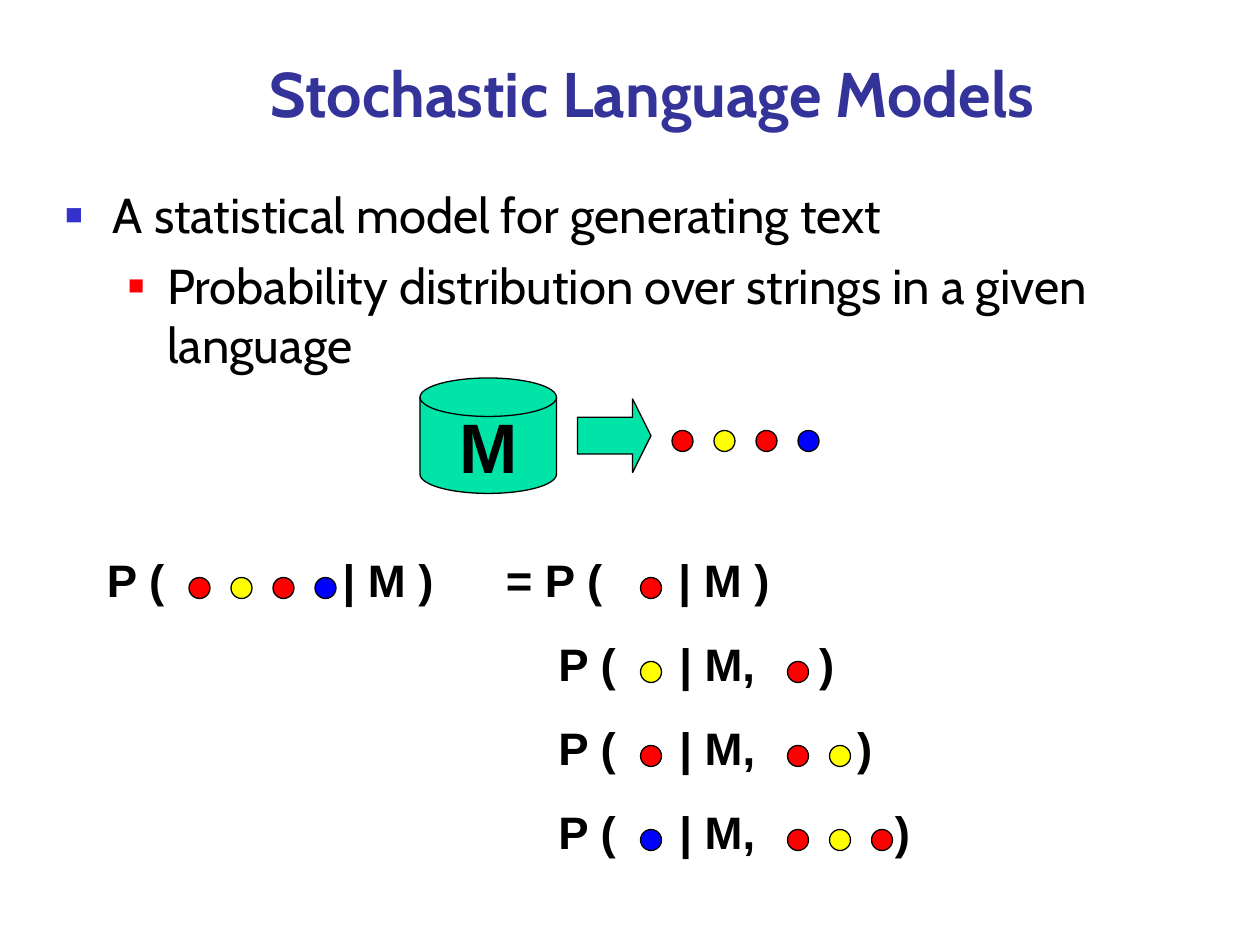
from dataclasses import dataclass

import lxml.etree
import pptx
import pptx.dml.color
import pptx.enum.shapes
import pptx.enum.text
import pptx.oxml.ns
import pptx.util

# Grid: 120 columns by 90 rows on a slide of 10 by 7.5 inches
COLUMNS = 120
CELL = pptx.util.Inches(10) / COLUMNS
DOT_SIZE, DOT_PITCH = 2, 4

RED, YELLOW, BLUE = "FF0000", "FFFF00", "0000FF"
GREEN, BLACK = "00E4A8", "000000"
SEQUENCE = (RED, YELLOW, RED, BLUE)

SHAPES = pptx.enum.shapes.MSO_SHAPE
ANCHOR = pptx.enum.text.MSO_ANCHOR
ALIGN = pptx.enum.text.PP_ALIGN
FORMULA_FONT = {"name": "Arial", "size": pptx.util.Pt(26), "bold": True}
MODEL_FONT = {"name": "Arial", "size": pptx.util.Pt(40), "bold": True}
TITLE_FONT = {"name": "Cabin", "size": pptx.util.Pt(36), "bold": True}
BODY_FONT = {"name": "Cabin", "size": pptx.util.Pt(28), "bold": False}


@dataclass(frozen=True)
class Box:
    column: float
    row: float
    width: float
    height: float

    def lengths(self) -> list[int]:
        return [round(value * CELL)
                for value in (self.column, self.row, self.width, self.height)]


@dataclass(frozen=True)
class Term:
    """One probability: its text, tab stops in inches, and rows of dots."""
    text: str
    box: Box
    tabs: tuple[float, ...]
    dots: tuple[tuple[float, tuple[str, ...]], ...]


@dataclass(frozen=True)
class Bullet:
    text: str
    level: int
    margin: float
    hanging: float
    color: str
    percent: int


def rgb(value: str):
    return pptx.dml.color.RGBColor.from_string(value)


def set_attributes(target, values: dict) -> None:
    for name, value in values.items():
        setattr(target, name, value)


def add_property(paragraph, tag: str, **attributes: str):
    properties = paragraph._p.get_or_add_pPr()
    return lxml.etree.SubElement(properties, pptx.oxml.ns.qn(tag), attributes)


def write(paragraph, text: str, font: dict, color: str, before: float) -> None:
    paragraph.text = text
    paragraph.space_before = pptx.util.Pt(before)
    set_attributes(paragraph.runs[0].font, font)
    paragraph.runs[0].font.color.rgb = rgb(color)


def move(shape, box: Box) -> None:
    set_attributes(shape, dict(zip(("left", "top", "width", "height"), box.lengths())))


def add_figure(shapes, kind, box: Box, color: str):
    shape = shapes.add_shape(kind, *box.lengths())
    shape.shadow.inherit = False
    shape.fill.solid()
    shape.fill.fore_color.rgb = rgb(color)
    shape.line.color.rgb = rgb(BLACK)
    shape.line.width = pptx.util.Pt(0.75)
    return shape


def add_dots(shapes, column: float, row: float, colors: tuple[str, ...]) -> None:
    for index, color in enumerate(colors):
        box = Box(column + index * DOT_PITCH, row, DOT_SIZE, DOT_SIZE)
        add_figure(shapes, SHAPES.OVAL, box, color)


def add_term(slide, term: Term) -> None:
    shapes = slide.shapes.add_group_shape().shapes
    text_box = shapes.add_textbox(*term.box.lengths())
    text_box.text_frame.word_wrap = True
    paragraph = text_box.text_frame.paragraphs[0]
    write(paragraph, term.text, FORMULA_FONT, BLACK, 6.5)
    tab_list = add_property(paragraph, "a:tabLst")
    for position in term.tabs:
        lxml.etree.SubElement(tab_list, pptx.oxml.ns.qn("a:tab"),
                              pos=str(pptx.util.Inches(position)), algn="l")
    for column, colors in term.dots:
        add_dots(shapes, column, term.box.row + 3, colors)


def add_title(slide, text: str) -> None:
    title = slide.shapes.title
    move(title, Box(11, 5, 102.2, 8))
    set_attributes(title.text_frame, {
        "vertical_anchor": ANCHOR.BOTTOM, "word_wrap": True,
        "auto_size": pptx.enum.text.MSO_AUTO_SIZE.NONE})
    paragraph = title.text_frame.paragraphs[0]
    write(paragraph, text, TITLE_FONT, "333399", 0)
    paragraph.alignment = ALIGN.CENTER


def add_bullets(slide, bullets: list[Bullet]) -> None:
    body = slide.placeholders[1]
    move(body, Box(5, 17, 102, 21.6))
    frame = body.text_frame
    frame.auto_size = pptx.enum.text.MSO_AUTO_SIZE.NONE
    for index, bullet in enumerate(bullets):
        paragraph = frame.add_paragraph() if index else frame.paragraphs[0]
        write(paragraph, bullet.text, BODY_FONT, BLACK, 7)
        paragraph.level = bullet.level
        properties = paragraph._p.get_or_add_pPr()
        properties.set("marL", str(pptx.util.Inches(bullet.margin)))
        properties.set("indent", str(-pptx.util.Inches(bullet.hanging)))
        color = add_property(paragraph, "a:buClr")
        lxml.etree.SubElement(color, pptx.oxml.ns.qn("a:srgbClr"), val=bullet.color)
        add_property(paragraph, "a:buSzPct", val=str(bullet.percent * 1000))
        add_property(paragraph, "a:buFont", typeface="Arial")
        add_property(paragraph, "a:buChar", char="■")


def add_generator(slide) -> None:
    """The model, an arrow and the string that it generates."""
    model = add_figure(slide.shapes, SHAPES.FLOWCHART_MAGNETIC_DISK,
                       Box(40, 36, 13, 11), GREEN)
    set_attributes(model.text_frame,
                   {"vertical_anchor": ANCHOR.MIDDLE, "word_wrap": False})
    paragraph = model.text_frame.paragraphs[0]
    write(paragraph, "M", MODEL_FONT, BLACK, 10)
    paragraph.alignment = ALIGN.CENTER
    arrow = add_figure(slide.shapes, SHAPES.RIGHT_ARROW, Box(55, 38, 7, 7), GREEN)
    arrow.adjustments[0], arrow.adjustments[1] = 0.5, 0.25
    add_dots(slide.shapes, 64, 41, SEQUENCE)


def chain_terms() -> list[Term]:
    """The string's probability, then each dot given the dots before it."""
    terms = [
        Term("P (\t| M )", Box(9, 52, 38, 7), (1.87,), ((18, SEQUENCE),)),
        Term("= P (\t| M )", Box(47, 52, 29, 7), (1.37,), ((61, SEQUENCE[:1]),)),
    ]
    for count in range(1, len(SEQUENCE)):
        box = Box(52, 52 + 8 * count, 29 if count == 1 else 38, 7)
        dots = ((61, (SEQUENCE[count],)), (75, SEQUENCE[:count]))
        terms.append(Term("P (\t| M,\t)", box, (0.96, 1.77 + 0.3 * count), dots))
    return terms


def main() -> None:
    presentation = pptx.Presentation()
    presentation.slide_width = pptx.util.Inches(10)
    presentation.slide_height = pptx.util.Inches(7.5)
    slide = presentation.slides.add_slide(presentation.slide_layouts[1])

    # Title and list
    add_title(slide, "Stochastic Language Models")
    add_bullets(slide, [
        Bullet("A statistical model for generating text", 0, 0.38, 0.38, "3333CC", 60),
        Bullet("Probability distribution over strings in a given language",
               1, 0.81, 0.31, RED, 55),
    ])

    # Diagram and formula
    add_generator(slide)
    for term in chain_terms():
        add_term(slide, term)

    presentation.save("out.pptx")


if __name__ == "__main__":
    main()
